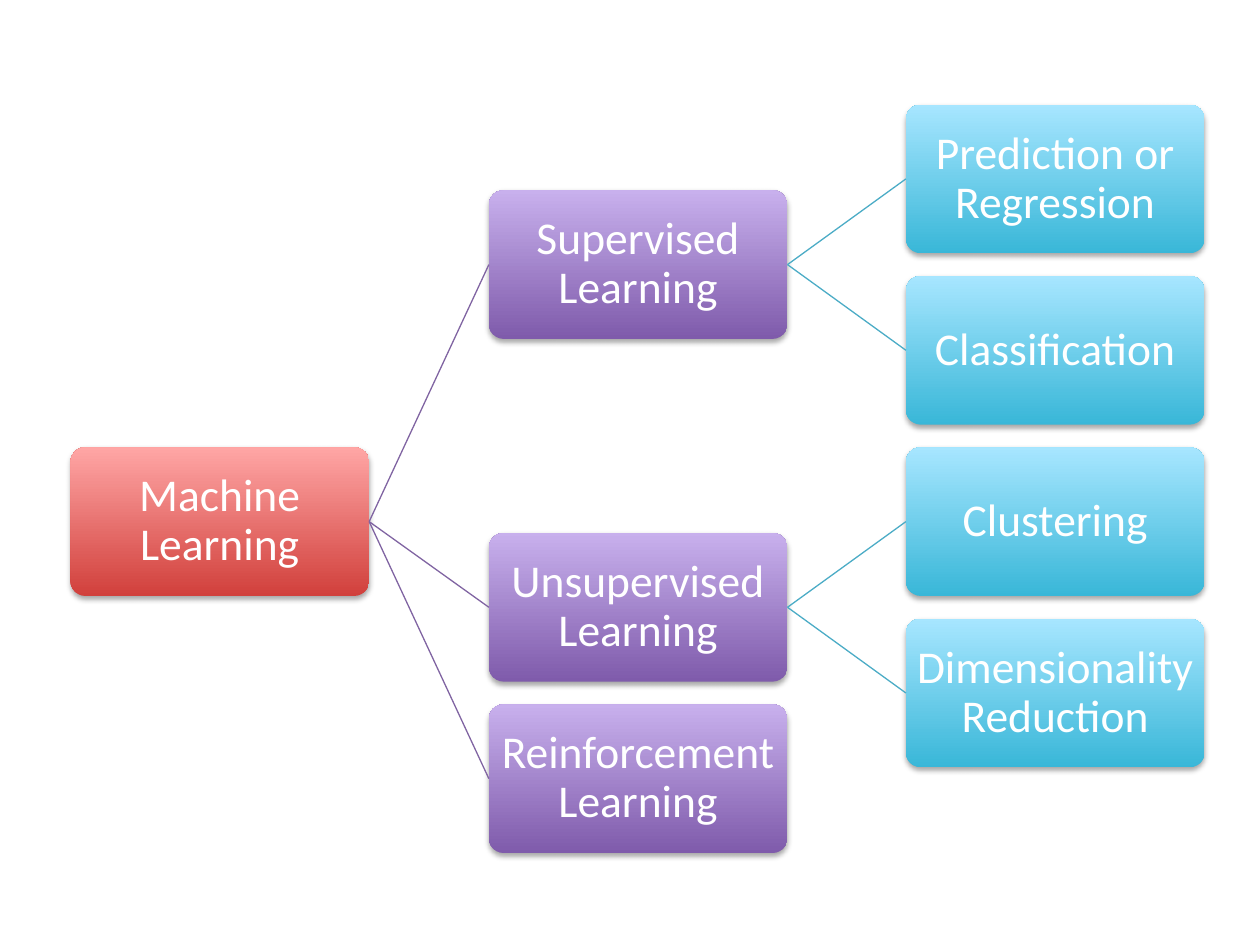
from lxml.etree import SubElement
from pptx import Presentation
from pptx.dml.color import RGBColor
from pptx.enum.shapes import MSO_CONNECTOR, MSO_SHAPE
from pptx.enum.text import MSO_ANCHOR, PP_ALIGN
from pptx.oxml.ns import qn
from pptx.util import Inches, Pt


def color(hex_value):
    return RGBColor.from_string(hex_value)


deck = Presentation()
deck.slide_width, deck.slide_height = Inches(10), Inches(7.5)
page = deck.slides.add_slide(deck.slide_layouts[6])

# Tree geometry: one column per level, rows at an equal pitch
COLUMN_LEFTS = [0.56, 3.88, 7.19]
TOP, ROW_PITCH = 0.83, 1.36
NODE_WIDTH, NODE_HEIGHT = 2.37, 1.18

# Per level: gradient bottom, gradient top, colour of the line to the parent
LEVEL_COLORS = [
    ("D1403C", "FFA6A5", None),
    ("7F5BAB", "C8B0ED", "8064A2"),
    ("39B7D8", "A7E6FF", "4BACC6"),
]

# Text, level, row (halves lie between two children), parent
NODES = [
    ("Machine Learning", 0, 2, None),
    ("Supervised Learning", 1, 0.5, "Machine Learning"),
    ("Prediction or Regression", 2, 0, "Supervised Learning"),
    ("Classification", 2, 1, "Supervised Learning"),
    ("Unsupervised Learning", 1, 2.5, "Machine Learning"),
    ("Clustering", 2, 2, "Unsupervised Learning"),
    ("Dimensionality Reduction", 2, 3, "Unsupervised Learning"),
    ("Reinforcement Learning", 1, 3.5, "Machine Learning"),
]
LEFT_SITE, RIGHT_SITE = 1, 3

boxes = {}
for text, level, row, parent in NODES:
    bottom_color, top_color, line_color = LEVEL_COLORS[level]

    # Rounded box with a vertical gradient
    box = page.shapes.add_shape(
        MSO_SHAPE.ROUNDED_RECTANGLE,
        Inches(COLUMN_LEFTS[level]), Inches(TOP + row * ROW_PITCH),
        Inches(NODE_WIDTH), Inches(NODE_HEIGHT))
    box.adjustments[0] = 0.1
    box.fill.gradient()
    box.fill.gradient_angle = 90
    for stop, stop_color in zip(box.fill.gradient_stops, (bottom_color, top_color)):
        stop.color.rgb = color(stop_color)
    box.line.fill.background()
    boxes[text] = box

    # Soft shadow below the box
    box.shadow.inherit = False
    effects = box._element.spPr.find(qn("a:effectLst"))
    shadow = SubElement(effects, qn("a:outerShdw"), blurRad=str(Pt(3.1)),
                        dist=str(Pt(1.8)), dir="5400000", rotWithShape="0")
    shade = SubElement(shadow, qn("a:srgbClr"), val="000000")
    SubElement(shade, qn("a:alpha"), val="35000")

    # Label
    frame = box.text_frame
    frame.word_wrap = True
    frame.vertical_anchor = MSO_ANCHOR.MIDDLE
    frame.margin_left = frame.margin_right = Inches(0.02)
    frame.margin_top = frame.margin_bottom = Inches(0.02)
    frame.text = text
    para = frame.paragraphs[0]
    para.alignment = PP_ALIGN.CENTER
    para.line_spacing = 0.9
    span = para.runs[0]
    span.font.name = "Calibri"
    span.font.size = Pt(26)
    span.font.color.rgb = color("FFFFFF")

    # Line from the parent's right side to this box's left side
    if parent:
        branch = page.shapes.add_connector(MSO_CONNECTOR.STRAIGHT, 0, 0, 0, 0)
        branch.begin_connect(boxes[parent], RIGHT_SITE)
        branch.end_connect(box, LEFT_SITE)
        branch.line.color.rgb = color(line_color)
        branch.line.width = Pt(0.75)
        SubElement(branch._element.spPr, qn("a:effectLst"))

deck.save("out.pptx")
